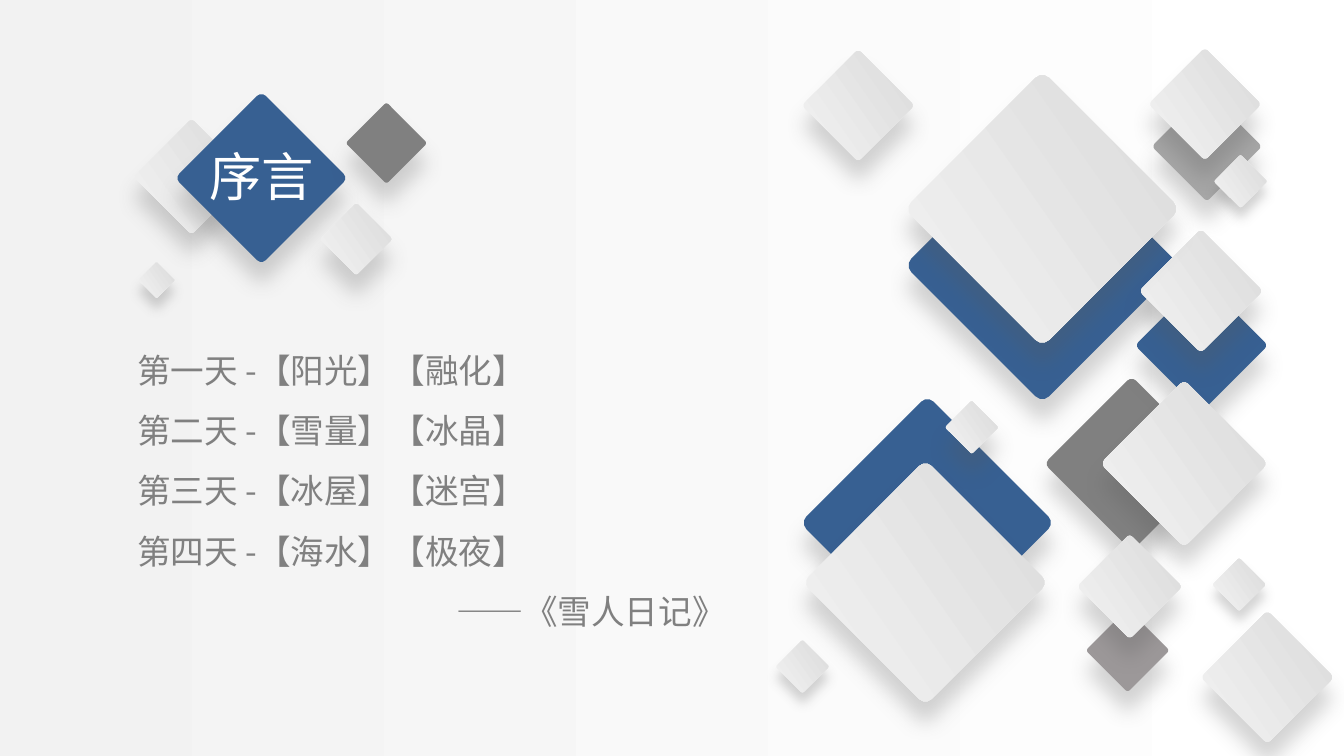
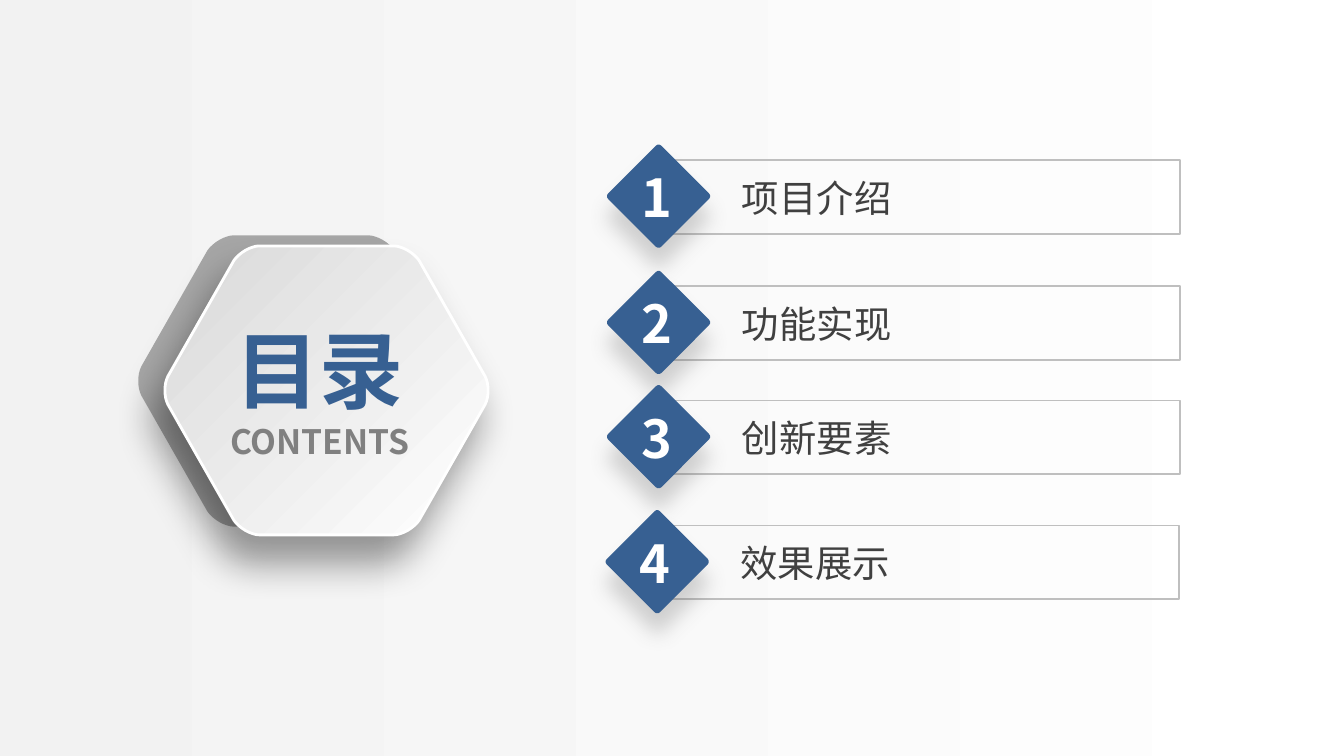
from lxml.etree import SubElement
from pptx import Presentation
from pptx.dml.color import RGBColor
from pptx.enum.shapes import MSO_SHAPE
from pptx.enum.text import MSO_ANCHOR, MSO_AUTO_SIZE, PP_ALIGN
from pptx.oxml.ns import qn
from pptx.util import Emu, Pt

PX = 9144
SLIDE_WIDTH = 1000 * PX
SLIDE_HEIGHT = SLIDE_WIDTH * 9 // 16
FONT = "Noto Sans CJK SC"
COLORS = {
    "blue": "376092",
    "gray": "808080",
    "silver": "A6A6A6",
    "taupe": "9C9899",
    "border": "BFBFBF",
    "ink": "404040",
    "white": "FFFFFF",
    "shadow": "595959",
    "black": "000000",
    "pale": "F2F2F2",
    "dim": "DBDBDB",
    "hexagon": "D9D9D9",
}
GRADIENTS = {
    "page": ("pale", "white", 0),
    "light": ("pale", "dim", 280),
    "front": ("hexagon", "white", 45),
}
NARROW = (7, 4)
WIDE = (10, 5)

HEX_WIDTH = 242
HEX_CORNERS = [
    [(71, 215), (65, 215), (56, 210), (52, 204)],
    [(3, 118), (0, 112), (0, 103), (3, 97)],
    [(52, 11), (56, 5), (65, 0), (71, 0)],
]

PREFACE = [
    "第一天 -【阳光】【融化】",
    "第二天 -【雪量】【冰晶】",
    "第三天 -【冰屋】【迷宫】",
    "第四天 -【海水】【极夜】",
    "——《雪人日记》",
]
TITLE_DIAMONDS = [
    (112, 101, 61, "light"),
    (149, 87, 91, "blue"),
    (266, 85, 43, "gray"),
    (246, 159, 38, "light"),
    (107, 199, 19, "light", 6),
]
SIDE_DIAMONDS = [
    (817, 462, 44, "taupe"),
    (703, 125, 145, "blue"),
    (623, 322, 134, "blue"),
    (796, 299, 92, "gray"),
    (859, 222, 70, "blue"),
    (869, 80, 58, "silver"),
    (609, 49, 59, "light"),
    (867, 48, 59, "light"),
    (861, 184, 65, "light"),
    (703, 83, 145, "light"),
    (837, 301, 88, "light"),
    (624, 369, 129, "light"),
    (908, 469, 70, "light"),
    (813, 409, 55, "light"),
    (583, 482, 28, "light", 6),
    (908, 421, 28, "light", 6),
    (909, 121, 28, "light", 6),
    (709, 304, 28, "light"),
]
CONTENTS = [
    (489, 119, "项目介绍"),
    (489, 213, "功能实现"),
    (489, 298, "创新要素"),
    (488, 391, "效果展示"),
]


def color(name):
    return RGBColor.from_string(COLORS[name])


def px(*lengths):
    return [Emu(length * PX) for length in lengths]


def bezier(points, steps=8):
    weights = (1, 3, 3, 1)
    for step in range(steps + 1):
        t = step / steps
        yield tuple(
            sum(weights[i] * (1 - t) ** (3 - i) * t**i * points[i][axis] for i in range(4))
            for axis in (0, 1)
        )


class Deck:
    def __init__(self):
        self.presentation = Presentation()
        self.presentation.slide_width = Emu(SLIDE_WIDTH)
        self.presentation.slide_height = Emu(SLIDE_HEIGHT)
        self.paint(self.presentation.slide_master.background.fill, "page")
        self.slide = None

    def add_slide(self, layout):
        self.slide = self.presentation.slides.add_slide(self.presentation.slide_layouts[layout])

    def paint(self, fill, name):
        if name is None:
            fill.background()
        elif name in GRADIENTS:
            start, end, angle = GRADIENTS[name]
            fill.gradient()
            fill.gradient_angle = (360 - angle) % 360
            for stop, stop_color in zip(fill.gradient_stops, (start, end)):
                stop.color.rgb = color(stop_color)
        else:
            fill.solid()
            fill.fore_color.rgb = color(name)

    def style(self, shape, fill=None, line=None, line_width=1, shadow=None):
        shape.shadow.inherit = False
        self.paint(shape.fill, fill)
        self.paint(shape.line.fill, line)
        if line:
            shape.line.width = Pt(line_width)
        if shadow:
            name, opacity, blur, distance, direction = shadow
            effects = shape._element.spPr.find(qn("a:effectLst"))
            outer = SubElement(
                effects, qn("a:outerShdw"), blurRad=str(Pt(blur)), dist=str(Pt(distance)),
                dir=str(direction * 60000), algn="t", rotWithShape="0",
            )
            tint = SubElement(outer, qn("a:srgbClr"), val=COLORS[name])
            SubElement(tint, qn("a:alpha"), val=str(opacity * 1000))

    def diamond(self, left, top, size, fill, blur=11):
        shape = self.slide.shapes.add_shape(
            MSO_SHAPE.ROUNDED_RECTANGLE, *px(left, top, size, size))
        shape.adjustments[0] = 0.05
        shape.rotation = 45
        self.style(shape, fill, shadow=("shadow", 25, blur, blur, 90))

    def frame(self, left, top, width, height):
        shape = self.slide.shapes.add_shape(MSO_SHAPE.RECTANGLE, *px(left, top, width, height))
        self.style(shape, line="border")

    def hexagon(self, left, top, fill, line, line_width, shadow=None):
        mirrored = [
            [(HEX_WIDTH - x, y) for x, y in reversed(corner)]
            for corner in reversed(HEX_CORNERS)
        ]
        outline = [
            (x * 10, y * 10) for corner in HEX_CORNERS + mirrored for x, y in bezier(corner)
        ]
        builder = self.slide.shapes.build_freeform(*outline[0], scale=PX / 10)
        builder.add_line_segments(outline[1:], close=True)
        shape = builder.convert_to_shape(*px(left, top))
        self.style(shape, fill, line, line_width, shadow)

    def text(self, box, lines, size, name, bold=False, align=PP_ALIGN.LEFT, margins=NARROW,
             wrap=True, anchor=MSO_ANCHOR.TOP, spacing=1.0, placeholder=None):
        if placeholder is None:
            shape = self.slide.shapes.add_textbox(*px(*box))
        else:
            shape = self.slide.placeholders[placeholder]
            shape.left, shape.top, shape.width, shape.height = px(*box)
            self.slide.shapes._spTree.append(shape._element)
        frame = shape.text_frame
        frame.text = "\n".join(lines)
        frame.word_wrap = wrap
        frame.auto_size = MSO_AUTO_SIZE.NONE
        frame.vertical_anchor = anchor
        frame.margin_left, frame.margin_top = px(*margins)
        frame.margin_right, frame.margin_bottom = px(*margins)
        for paragraph in frame.paragraphs:
            if placeholder is not None:
                properties = paragraph._p.get_or_add_pPr()
                properties.set("marL", "0")
                properties.set("indent", "0")
                SubElement(properties, qn("a:buNone"))
            paragraph.alignment = align
            paragraph.line_spacing = spacing
            paragraph.space_before = Pt(0)
            font = paragraph.font
            font.name, font.size, font.bold = FONT, Pt(size), bold
            font.color.rgb = color(name)
            defaults = paragraph._p.pPr.find(qn("a:defRPr"))
            SubElement(defaults, qn("a:ea"), typeface=FONT)
        return frame

    def title(self, box, words, size, name, **options):
        self.text(box, [words], size, name, align=PP_ALIGN.CENTER, margins=WIDE,
                  placeholder=0, **options)

    def entry(self, number, left, top, label):
        self.frame(left, top, 389, 55)
        self.text((left + 56, top + 7, 272, 41), [label], 20, "ink")
        self.diamond(left - 27, top - 1, 56, "blue")
        self.text((left - 19, top, 39, 55), [str(number)], 28, "white", bold=True, wrap=False)


def build_preface(deck):
    deck.add_slide(1)
    body = deck.text((95, 241, 452, 235), PREFACE, 18, "gray", align=PP_ALIGN.JUSTIFY,
                     spacing=1.5, placeholder=1)
    body.paragraphs[-1].alignment = PP_ALIGN.RIGHT
    for diamond in TITLE_DIAMONDS:
        deck.diamond(*diamond)
    deck.title((145, 102, 99, 57), "序言", 28, "white", wrap=False)
    for diamond in SIDE_DIAMONDS:
        deck.diamond(*diamond)


def build_contents(deck):
    deck.add_slide(5)
    deck.hexagon(103, 176, "silver", "silver", 1.25)
    deck.hexagon(122, 183, "front", "white", 1.5, ("black", 40, 21, 16, 113))
    deck.title((148, 232, 179, 86), "目录", 45, "blue", bold=True)
    deck.text((148, 307, 180, 42), ["CONTENTS"], 18, "gray", bold=True,
              align=PP_ALIGN.CENTER, anchor=MSO_ANCHOR.MIDDLE)
    for number, (left, top, label) in enumerate(CONTENTS, 1):
        deck.entry(number, left, top, label)


def main():
    deck = Deck()
    build_preface(deck)
    build_contents(deck)
    deck.presentation.save("out.pptx")


if __name__ == "__main__":
    main()
